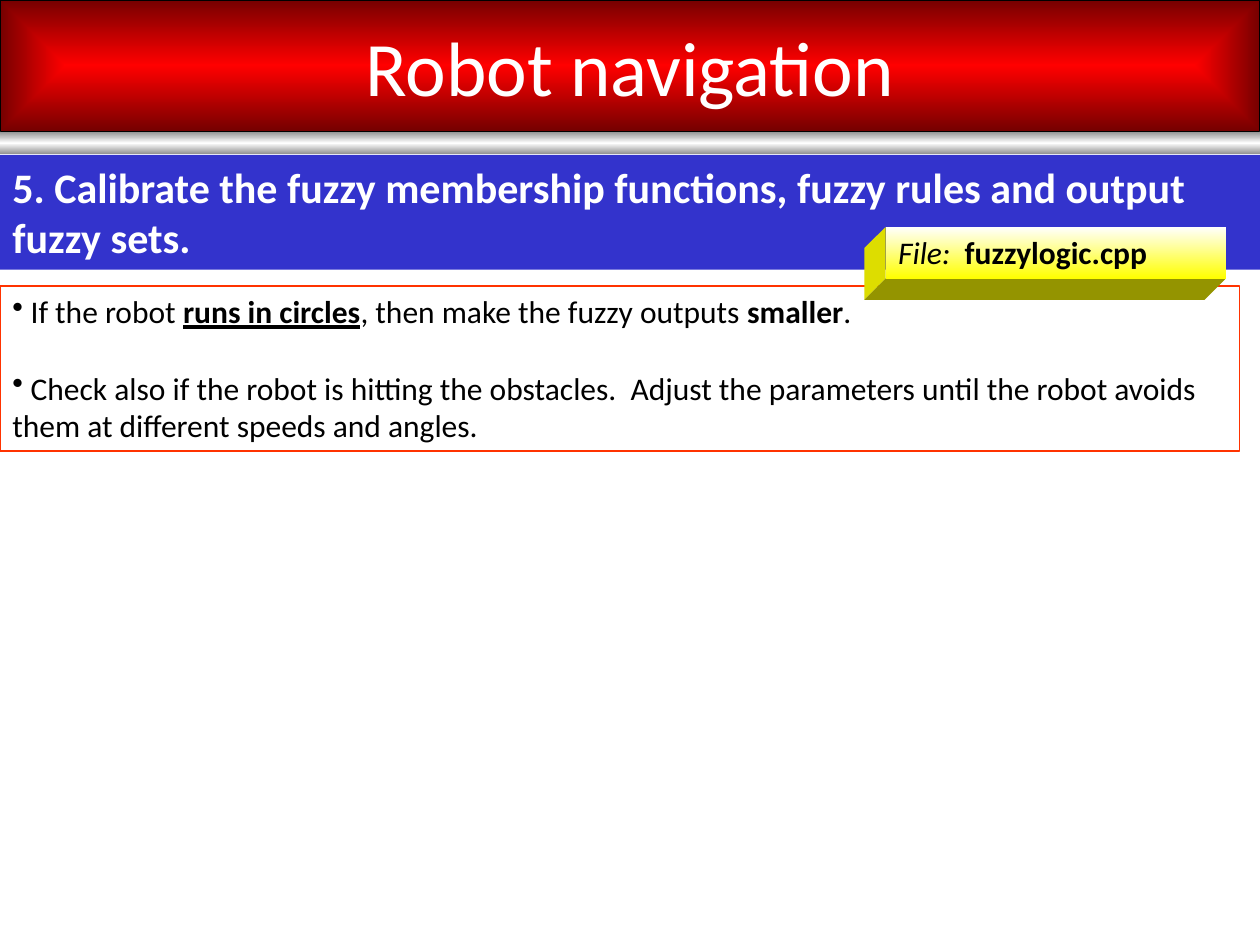
from lxml.etree import SubElement
from pptx import Presentation
from pptx.dml.color import RGBColor
from pptx.enum.shapes import MSO_SHAPE
from pptx.enum.text import MSO_ANCHOR, PP_ALIGN
from pptx.oxml import parse_xml
from pptx.oxml.ns import nsdecls, qn
from pptx.util import Inches, Pt

LINEAR = '<a:lin ang="5400000" scaled="0"/>'
CENTRE = '<a:path path="rect"><a:fillToRect l="50000" t="50000" r="50000" b="50000"/></a:path>'


def color(code):
    """Turn a hex string into a colour."""
    return RGBColor.from_string(code)


def paint(shape, fill=None, line=None, width=0.75):
    """Set the solid fill and outline, and drop the shadow."""
    shape.shadow.inherit = False
    if fill:
        shape.fill.solid()
        shape.fill.fore_color.rgb = color(fill)
    else:
        shape.fill.background()
    if line:
        shape.line.color.rgb = color(line)
        shape.line.width = Pt(width)
    else:
        shape.line.fill.background()


def blend(shape, codes, kind=LINEAR):
    """Fill a shape with evenly spaced gradient colours."""
    step = 100000 // (len(codes) - 1)
    stops = "".join(
        f'<a:gs pos="{i * step}"><a:srgbClr val="{code}"/></a:gs>'
        for i, code in enumerate(codes)
    )
    grad = parse_xml(
        f'<a:gradFill {nsdecls("a")} rotWithShape="1"><a:gsLst>{stops}</a:gsLst>{kind}</a:gradFill>'
    )
    props = shape.element.spPr
    props.replace(props.find(qn("a:noFill")), grad)


def box(slide, area, fill=None, line=None, width=0.75):
    """Add a rectangle with top-left text."""
    shape = slide.shapes.add_shape(MSO_SHAPE.RECTANGLE, *map(Inches, area))
    paint(shape, fill, line, width)
    shape.text_frame.word_wrap = True
    shape.text_frame.vertical_anchor = MSO_ANCHOR.TOP
    return shape


def face(slide, points, fill):
    """Add one slanted side of the file label."""
    spots = [(Inches(x), Inches(y)) for x, y in points]
    build = slide.shapes.build_freeform(*spots[0], scale=1.0)
    build.add_line_segments(spots[1:], close=True)
    paint(build.convert_to_shape(), fill)


def write(para, runs, size, code="000000", align=PP_ALIGN.LEFT):
    """Write runs given as text and style letters b, i and u."""
    para.alignment = align
    font = para.font
    font.name, font.size = "Calibri", Pt(size)
    font.color.rgb = color(code)
    for text, style in runs:
        run = para.add_run()
        run.text = text
        if "b" in style:
            run.font.bold = True
        if "i" in style:
            run.font.italic = True
        if "u" in style:
            run.font.underline = True


def bullet(para):
    """Give a paragraph a bullet without indent."""
    props = para._p.get_or_add_pPr()
    props.set("marL", "0")
    props.set("indent", "0")
    mark = SubElement(props, qn("a:buChar"))
    mark.set("char", "•")
    props.remove(mark)
    props.find(qn("a:defRPr")).addprevious(mark)


def header(slide):
    """Add the title bar, the silver strip and the step heading."""
    title = box(slide, (0, 0, 10, 1.04), line="000000", width=0.5)
    blend(title, ["FF0000", "760000"], CENTRE)
    title.text_frame.vertical_anchor = MSO_ANCHOR.MIDDLE
    write(title.text_frame.paragraphs[0], [("Robot navigation", "")], 44, "FFFFFF", PP_ALIGN.CENTER)
    strip = box(slide, (0, 1.05, 10, 0.17))
    blend(strip, ["969696", "FFFFFF", "969696"])
    step = box(slide, (0, 1.23, 10, 0.91), "3333CC")
    text = "5. Calibrate the fuzzy membership functions, fuzzy rules and output fuzzy sets."
    write(step.text_frame.paragraphs[0], [(text, "b")], 24, "FFFFFF")


def advice(slide):
    """Add the framed list of tuning hints."""
    frame = box(slide, (0, 2.27, 9.84, 1.31), line="FF3300").text_frame
    first, second = frame.paragraphs[0], frame.add_paragraph()
    write(first, [
        (" If the robot ", ""), ("runs in circles", "bu"),
        (", then make the fuzzy outputs ", ""), ("smaller", "b"), (".", ""),
    ], 18)
    write(second, [(
        " Check also if the robot is hitting the obstacles.  Adjust the parameters "
        "until the robot avoids them at different speeds and angles.", ""
    )], 18)
    second.space_before = Pt(22)
    for para in (first, second):
        bullet(para)


def label(slide):
    """Add the raised file label with its two sides."""
    left, top, wide, high, deep = 7.03, 1.8, 2.7, 0.41, 0.17
    right, base = left + wide, top + high
    near, low = left - deep, base + deep
    face(slide, [(left, top), (near, top + deep), (near, low), (left, base)], "DDDD00")
    face(slide, [(left, base), (right, base), (right - deep, low), (near, low)], "949400")
    front = box(slide, (left, top, wide, high))
    blend(front, ["FFFFFF", "FFFF00"])
    write(front.text_frame.paragraphs[0], [("File:  ", "i"), ("fuzzylogic.cpp", "b")], 18)


def main():
    """Build and save the slide."""
    deck = Presentation()
    deck.slide_width, deck.slide_height = Inches(10), Inches(7.5)
    slide = deck.slides.add_slide(deck.slide_layouts[6])
    header(slide)
    advice(slide)
    label(slide)
    deck.save("out.pptx")


if __name__ == "__main__":
    main()
